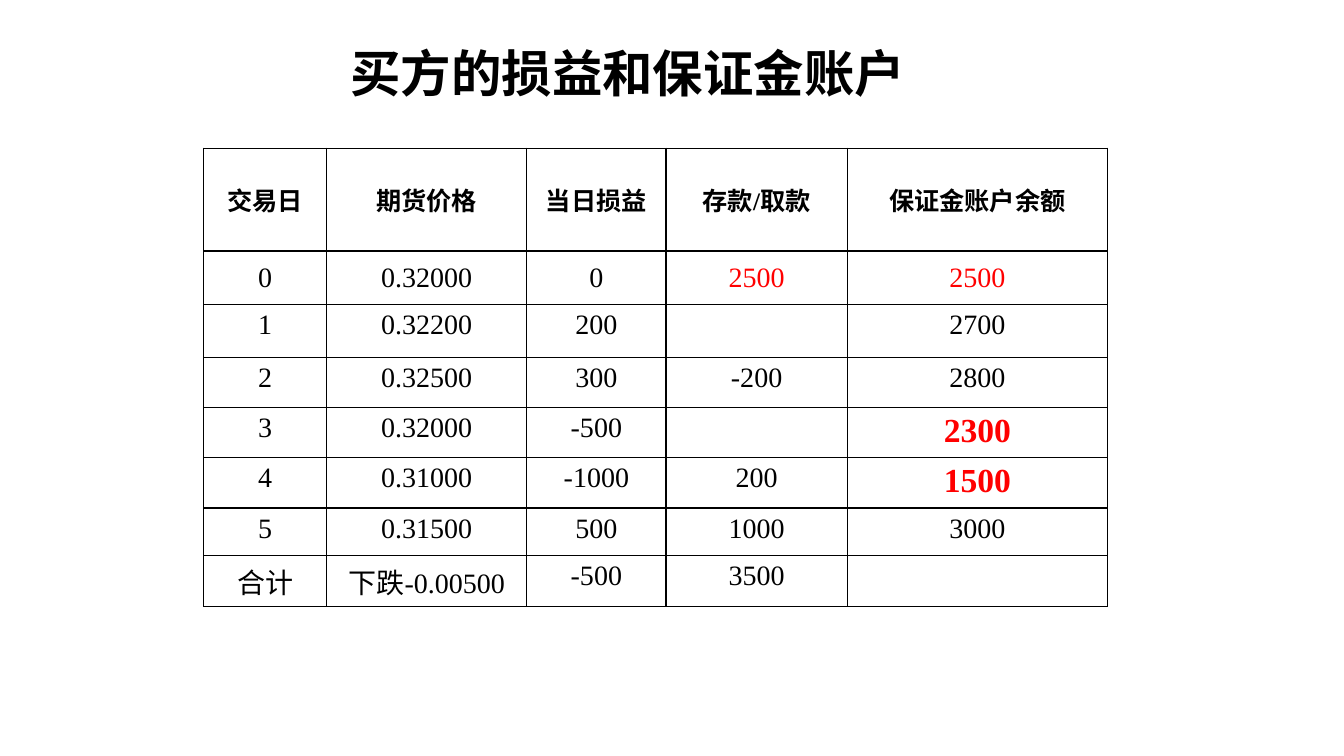
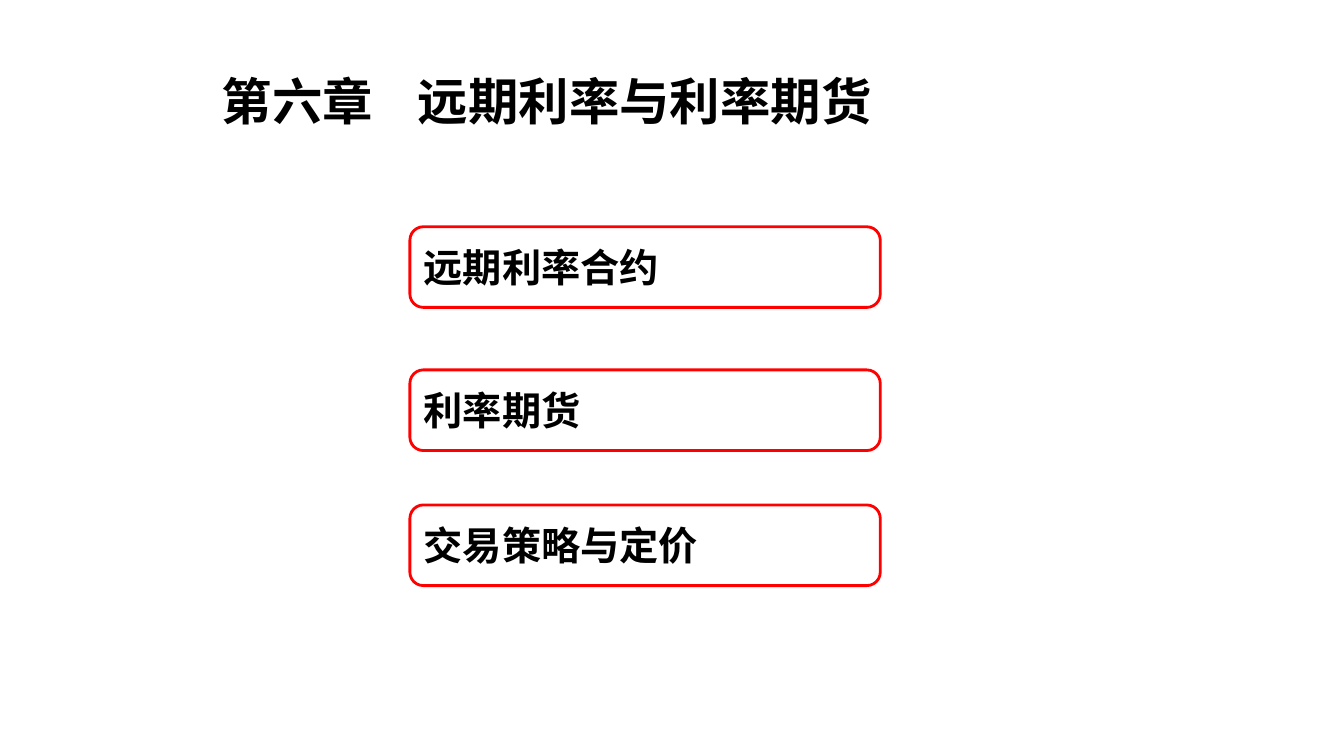
from lxml.etree import SubElement
from pptx import Presentation
from pptx.dml.color import RGBColor
from pptx.enum.shapes import MSO_SHAPE
from pptx.enum.text import MSO_ANCHOR, PP_ALIGN
from pptx.oxml.ns import qn
from pptx.util import Inches, Pt

BLACK = RGBColor(0, 0, 0)
RED = RGBColor(255, 0, 0)
SANS = "Noto Sans CJK SC"
SERIF = "Times New Roman"
COLUMNS, ROWS = 100, 75

HEADINGS = ["交易日", "期货价格", "当日损益", "存款/取款", "保证金账户余额"]
RECORDS = [
    ["0", "0.32000", "0", "2500", "2500"],
    ["1", "0.32200", "200", "", "2700"],
    ["2", "0.32500", "300", "-200", "2800"],
    ["3", "0.32000", "-500", "", "2300"],
    ["4", "0.31000", "-1000", "200", "1500"],
    ["5", "0.31500", "500", "1000", "3000"],
    ["合计", "下跌-0.00500", "-500", "3500", ""],
]
COLUMN_WIDTHS = [9.15, 14.9, 10.35, 13.5, 19.35]
ROW_HEIGHTS = [10.2, 5.3, 5.3, 4.9, 4.7, 4.7, 4.7, 5.1]
MARGIN_CALLS = ("2300", "1500")
TOPICS = {22.5: "远期利率合约", 36.7: "利率期货", 50.1: "交易策略与定价"}


class Deck:
    """Holds the style, the grid and the current page."""

    def __init__(self):
        """Start a wide presentation."""
        self.deck = Presentation()
        self.deck.slide_width = Inches(13.33)
        self.deck.slide_height = Inches(7.5)
        self.page = None

    def add_page(self):
        """Open a blank page."""
        self.page = self.deck.slides.add_slide(self.deck.slide_layouts[6])

    def across(self, columns):
        """Turn grid columns into a length."""
        return round(self.deck.slide_width * columns / COLUMNS)

    def down(self, rows):
        """Turn grid rows into a length."""
        return round(self.deck.slide_height * rows / ROWS)

    def area(self, left, top, width, height):
        """Turn a grid area into position and size."""
        return self.across(left), self.down(top), self.across(width), self.down(height)

    def add_span(self, para, text, size, face=SANS, color=BLACK, bold=True):
        """Add one styled run to a paragraph."""
        span = para.add_run()
        span.text = text
        span.font.size = Pt(size)
        span.font.bold = bold
        span.font.color.rgb = color
        span.font.name = face
        SubElement(span._r.get_or_add_rPr(), qn("a:ea"), typeface=SANS)

    def title(self, text, area, align, face=SANS, tab=None):
        """Add a page title, with an optional tab stop."""
        frame = self.page.shapes.add_textbox(*self.area(*area)).text_frame
        frame.word_wrap = True
        frame.vertical_anchor = MSO_ANCHOR.MIDDLE
        para = frame.paragraphs[0]
        para.alignment = align
        para.line_spacing = 0.9
        if tab:
            stops = SubElement(para._p.get_or_add_pPr(), qn("a:tabLst"))
            SubElement(stops, qn("a:tab"), pos=str(self.across(tab)), algn="l")
        self.add_span(para, text, 36, face)

    def topic(self, text, area):
        """Add a red-outlined rounded box with its topic."""
        box = self.page.shapes.add_shape(
            MSO_SHAPE.FLOWCHART_ALTERNATE_PROCESS, *self.area(*area))
        box.shadow.inherit = False
        box.fill.background()
        box.line.color.rgb = RED
        box.line.width = Pt(2)
        frame = box.text_frame
        frame.word_wrap = True
        frame.vertical_anchor = MSO_ANCHOR.MIDDLE
        para = frame.paragraphs[0]
        para.alignment = PP_ALIGN.LEFT
        self.add_span(para, text, 28)

    def border(self, cell):
        """Draw a thin black line on each side of a cell."""
        properties = cell._tc.get_or_add_tcPr()
        for side in ("a:lnL", "a:lnR", "a:lnT", "a:lnB"):
            line = SubElement(properties, qn(side), w=str(Pt(1)))
            fill = SubElement(line, qn("a:solidFill"))
            SubElement(fill, qn("a:srgbClr"), val=str(BLACK))

    def table(self, left, top, widths, heights, records, style):
        """Add a ruled table whose cells are styled by a function."""
        area = self.area(left, top, sum(widths), sum(heights))
        table = self.page.shapes.add_table(len(heights), len(widths), *area).table
        table.first_row = table.horz_banding = False
        for column, width in zip(table.columns, widths):
            column.width = self.across(width)
        for row, height in zip(table.rows, heights):
            row.height = self.down(height)
        for r, record in enumerate(records):
            for c, text in enumerate(record):
                cell = table.cell(r, c)
                self.border(cell)
                cell.fill.background()
                cell.vertical_anchor = MSO_ANCHOR.MIDDLE if r < 2 else MSO_ANCHOR.TOP
                para = cell.text_frame.paragraphs[0]
                para.alignment = PP_ALIGN.CENTER
                if text:
                    self.add_span(para, text, face=SERIF, **style(r, c, text))

    def save(self):
        """Save the presentation."""
        self.deck.save("out.pptx")


def account_style(row, column, text):
    """Choose size, colour and weight of an account cell."""
    if row == 0:
        return {"size": 18}
    if text in MARGIN_CALLS:
        return {"size": 24, "color": RED}
    deposit = row == 1 and column >= 3
    return {"size": 20, "color": RED if deposit else BLACK, "bold": False}


def main():
    """Build both pages."""
    deck = Deck()
    deck.add_page()
    deck.title("买方的损益和保证金账户", (16.05, 4.4, 61.3, 6.4), PP_ALIGN.CENTER)
    deck.table(15.15, 14.7, COLUMN_WIDTHS, ROW_HEIGHTS,
               [HEADINGS] + RECORDS, account_style)

    deck.add_page()
    for top, text in TOPICS.items():
        deck.topic(text, (30.5, top, 35, 8))
    deck.title("第六章\t远期利率与利率期货", (15.75, 6.8, 65.6, 7),
               PP_ALIGN.LEFT, "Arial", tab=14.6)
    deck.save()


if __name__ == "__main__":
    main()
